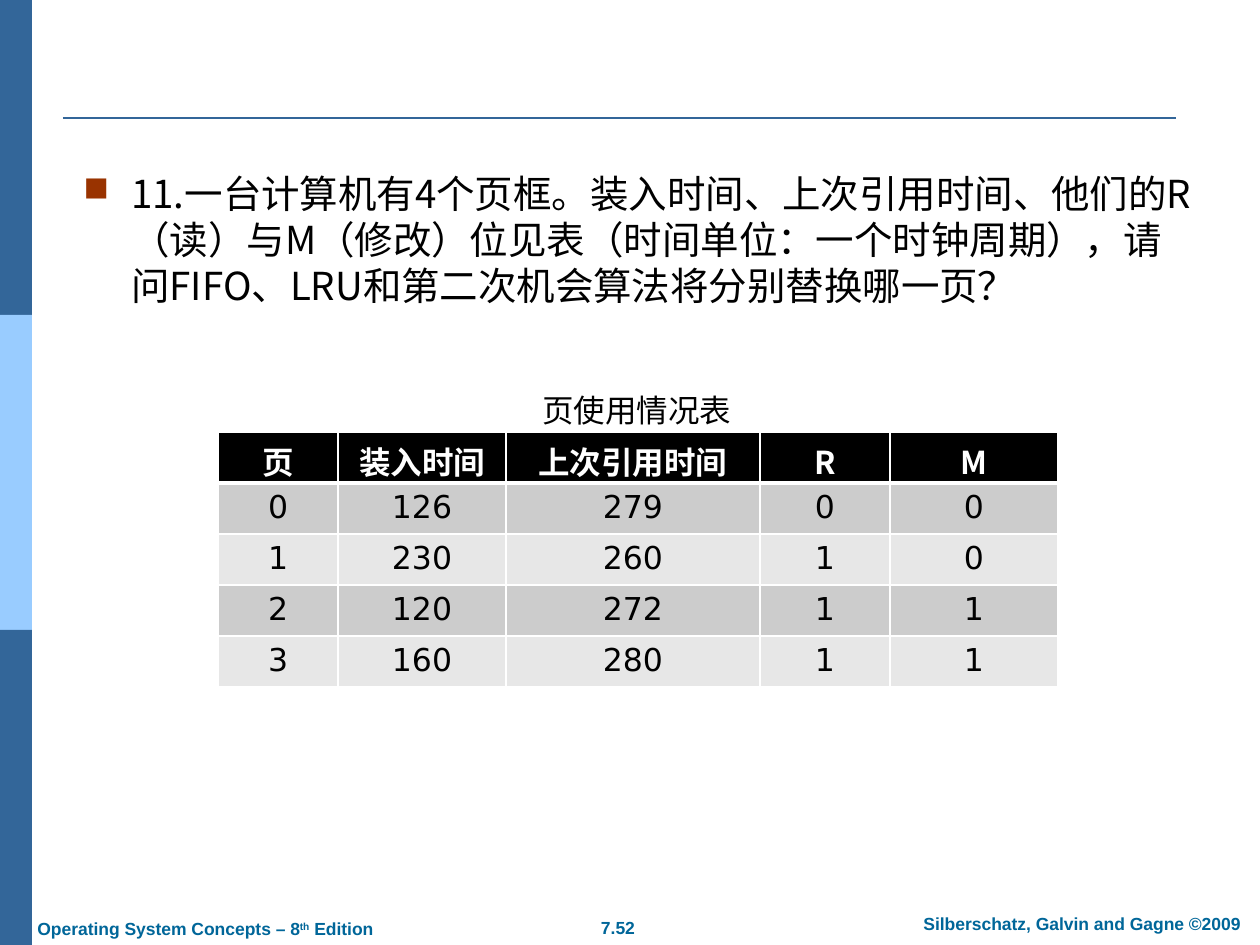
from pptx import Presentation
from pptx import util as u
from pptx.dml.color import RGBColor
from pptx.enum import shapes, text
from pptx.oxml.ns import qn
from lxml import etree

SCALE = 914400 // 126
HUES = {
    "navy": "336699", "sky": "99CCFF", "foot": "006699", "rust": "993300",
    "black": "000000", "white": "FFFFFF", "dark": "CCCCCC", "light": "E7E7E7",
}
CJK, SANS, ARIAL = "Noto Sans CJK SC", "DejaVu Sans", "Arial"
LEFT, MID = text.PP_ALIGN.LEFT, text.PP_ALIGN.CENTER
TASK = ("11.一台计算机有4个页框。装入时间、上次引用时间、他们的R（读）与M（修改）位见表"
        "（时间单位：一个时钟周期），请问FIFO、LRU和第二次机会算法将分别替换哪一页？")
ROWS = [
    ["页", "装入时间", "上次引用时间", "R", "M"],
    ["0", "126", "279", "0", "0"],
    ["1", "230", "260", "1", "0"],
    ["2", "120", "272", "1", "1"],
    ["3", "160", "280", "1", "1"],
]
COLS = [120, 168, 254, 130, 168]


def px(n):
    return u.Emu(n * SCALE)


def rgb(hue):
    return RGBColor.from_string(HUES[hue])


def add(node, tag, **attrs):
    return etree.SubElement(node, qn(tag), attrs)


def style(para, size, face, hue, bold=False):
    for run in para.runs:
        font = run.font
        font.size, font.name, font.bold = u.Pt(size), face, bold
        font.color.rgb = rgb(hue)
        add(run._r.get_or_add_rPr(), "a:ea", typeface=face)


def band(slide, top, hue):
    bar = slide.shapes.add_shape(
        shapes.MSO_SHAPE.RECTANGLE, 0, px(top), px(32), px(315))
    bar.shadow.inherit = False
    bar.fill.solid()
    bar.fill.fore_color.rgb = rgb(hue)
    bar.line.fill.background()


def rule(slide, left, right, top):
    line = slide.shapes.add_connector(
        shapes.MSO_CONNECTOR.STRAIGHT, px(left), px(top), px(right), px(top))
    line.line.color.rgb = rgb("navy")
    line.line.width = u.Pt(1.5)
    add(line._element.spPr, "a:effectLst")


def label(slide, box, parts, size, face, hue, bold=False, align=LEFT,
          wrap=False, inset=6):
    frame = slide.shapes.add_textbox(*map(px, box)).text_frame
    frame.word_wrap = wrap
    frame.margin_top = px(inset)
    para = frame.paragraphs[0]
    para.alignment = align
    for part in parts:
        para.add_run().text = part
    style(para, size, face, hue, bold)
    return para


def bullet(para, mark, hue, indent):
    props = para._p.get_or_add_pPr()
    props.set("marL", str(px(indent)))
    props.set("indent", str(px(-indent)))
    add(add(props, "a:buClr"), "a:srgbClr", val=HUES[hue])
    add(props, "a:buSzPct", val="90000")
    add(props, "a:buChar", char=mark)


def border(cell, row):
    props = cell._tc.get_or_add_tcPr()
    widths = {"L": 1, "R": 1, "T": 3 if row == 1 else 1, "B": 1 if row else 3}
    for side, width in widths.items():
        line = add(props, f"a:ln{side}", w=str(u.Pt(width)))
        add(add(line, "a:solidFill"), "a:srgbClr", val=HUES["white"])


def grid(slide, left, top, high):
    table = slide.shapes.add_table(
        len(ROWS), len(COLS), px(left), px(top),
        px(sum(COLS)), px(high * len(ROWS))).table
    for col, wide in zip(table.columns, COLS):
        col.width = px(wide)
    for i, row in enumerate(ROWS):
        table.rows[i].height = px(high)
        for j, word in enumerate(row):
            cell = table.cell(i, j)
            border(cell, i)
            cell.fill.solid()
            fill = "black" if i == 0 else "dark" if i % 2 else "light"
            cell.fill.fore_color.rgb = rgb(fill)
            para = cell.text_frame.paragraphs[0]
            para.text = word
            para.alignment = MID
            if i == 0:
                style(para, 18, CJK, "white", True)
            else:
                style(para, 18, SANS, "black")


def footer(slide):
    look = (10, ARIAL, "foot", True)
    label(slide, (587, 911, 62, 34), ["7.52"], *look, align=MID)
    label(slide, (895, 907, 374, 34), ["Silberschatz, Galvin and Gagne ©2009"],
          *look, align=MID, wrap=True)
    para = label(slide, (25, 912, 363, 34),
                 ["Operating System Concepts – 8", "th", " Edition"], *look)
    para.runs[1]._r.get_or_add_rPr().set("baseline", "30000")


def main():
    deck = Presentation()
    deck.slide_width, deck.slide_height = px(1260), px(945)
    slide = deck.slides.add_slide(deck.slide_layouts[6])
    for i, hue in enumerate(["navy", "sky", "navy"]):
        band(slide, i * 315, hue)
    rule(slide, 63, 1176, 118)
    footer(slide)
    task = label(slide, (71, 160, 1134, 624), [TASK], 22, CJK, "black",
                 wrap=True, inset=10)
    task.line_spacing = u.Pt(26.4)
    bullet(task, "■", "rust", 48)
    grid(slide, 218, 432, 51)
    title = label(slide, (530, 382, 217, 50), ["页使用情况表"], 18, CJK, "black",
                  inset=9)
    title.line_spacing = u.Pt(21.6)
    deck.save("out.pptx")


if __name__ == "__main__":
    main()
